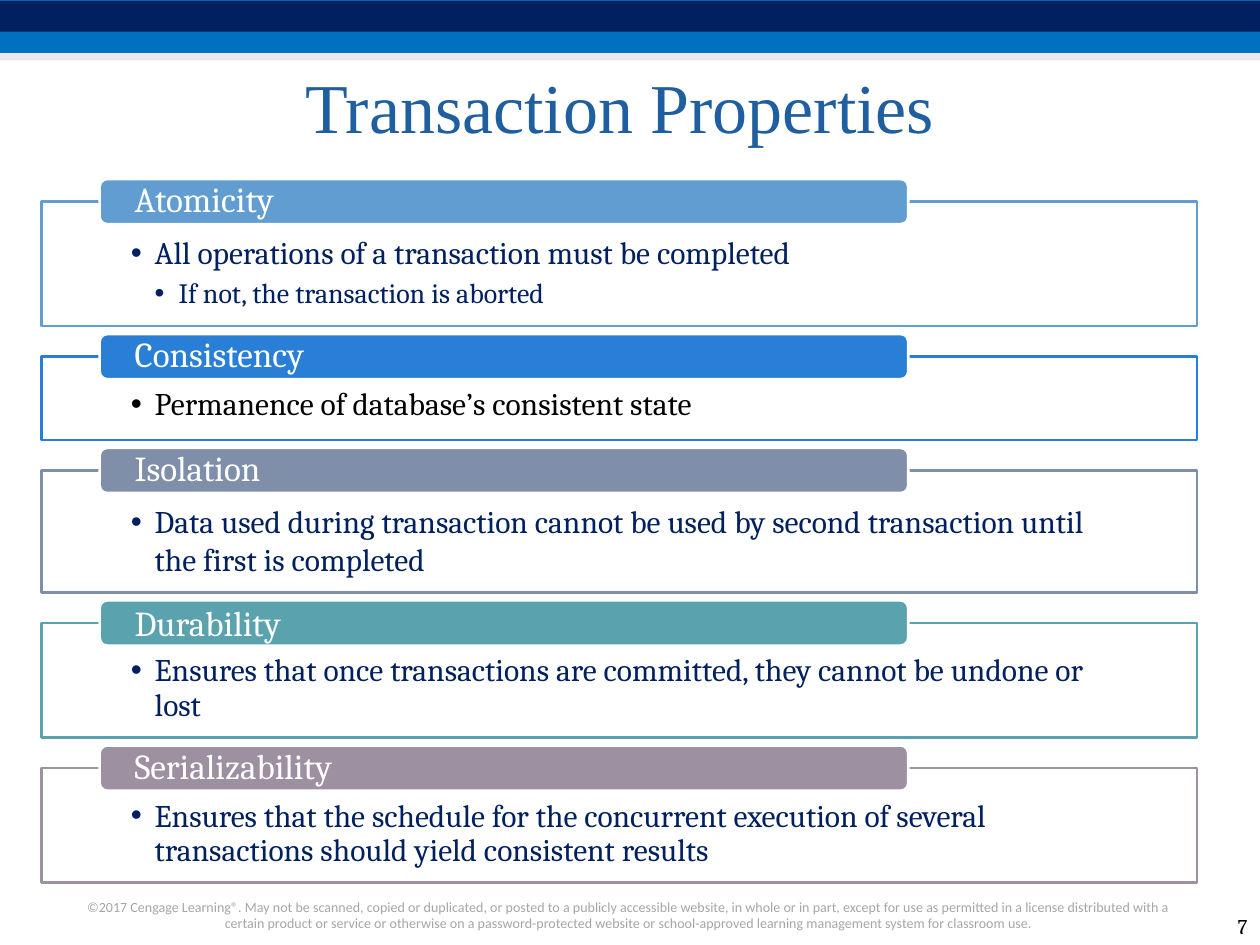
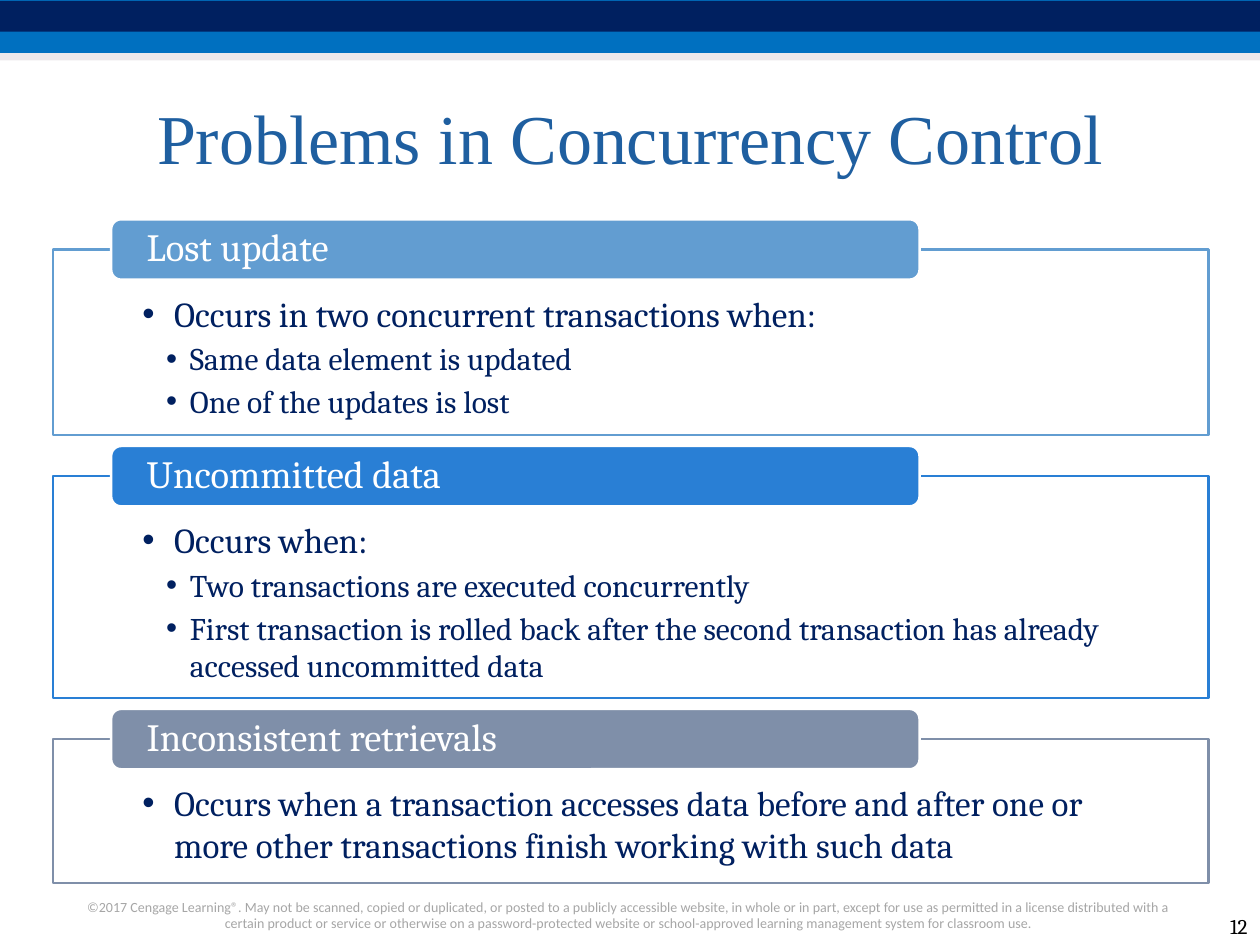
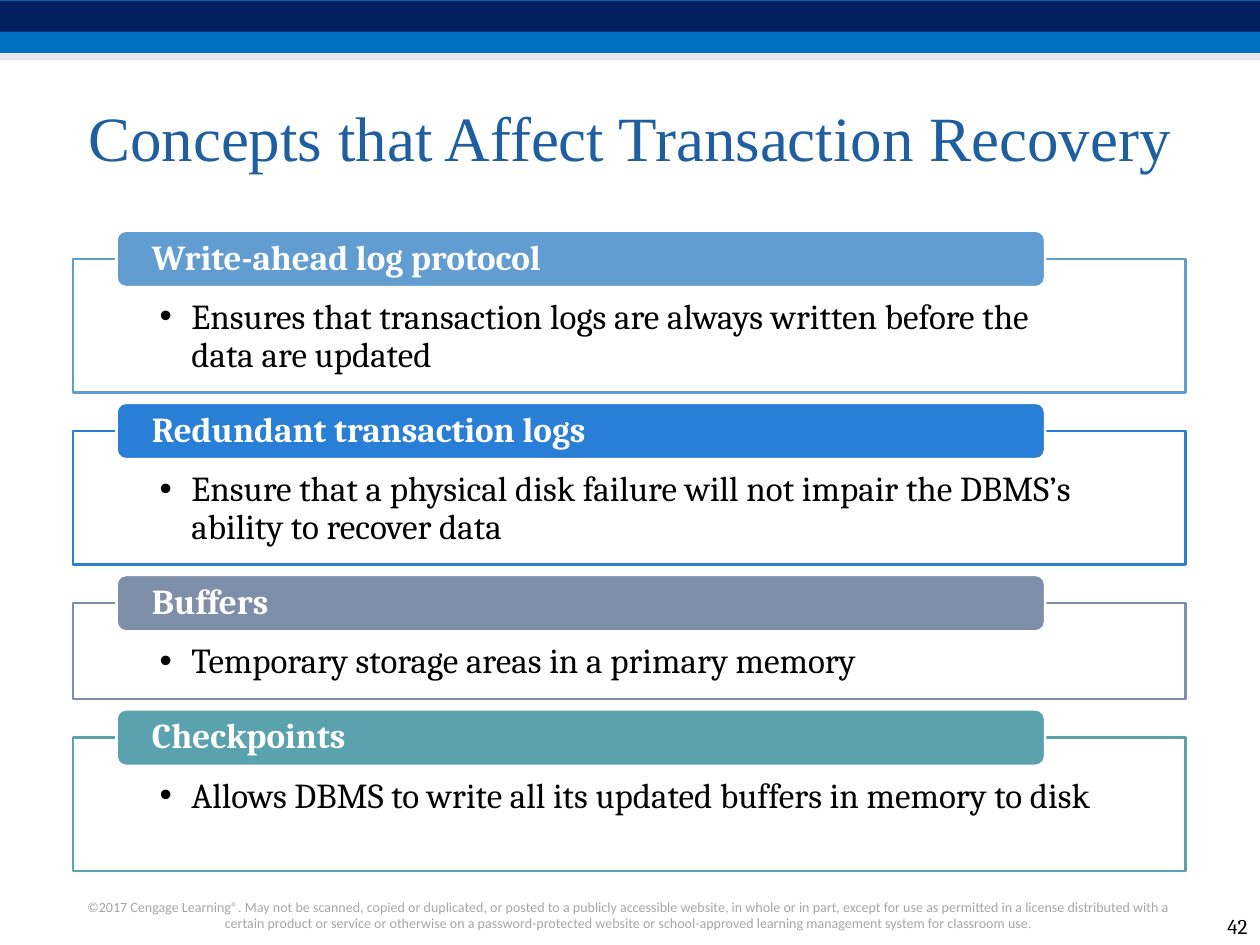
from dataclasses import dataclass, field

import pptx
import pptx.dml.color
import pptx.enum.shapes
import pptx.enum.text
import pptx.oxml
import pptx.oxml.ns
import pptx.util

Cm = pptx.util.Cm
Pt = pptx.util.Pt
Align = pptx.enum.text.PP_ALIGN
Anchor = pptx.enum.text.MSO_ANCHOR
Preset = pptx.enum.shapes.MSO_SHAPE


@dataclass(frozen=True)
class Theme:
    white: str = "FFFFFF"
    black: str = "000000"
    navy: str = "002060"
    blue: str = "0070C0"
    mist: str = "D8D3D9"
    title: str = "1F5FA0"
    notice: str = "A6A6A6"
    accents: tuple = ("629DD1", "297FD5", "7F8FA9", "5AA2AE", "9D90A0")
    title_font: str = "Times New Roman"
    body_font: str = "Cambria"
    notice_font: str = "Calibri"
    notice_size: int = 8
    number_size: int = 12
    outline: float = 1.5
    heading_spacing: float = 0.9
    space_after: float = 0.15


THEME = Theme()

COPYRIGHT = (
    "©2017 Cengage Learning®. May not be scanned, copied or duplicated, or posted to a "
    "publicly accessible website, in whole or in part, except for use as permitted in a "
    "license distributed with a certain product or service or otherwise on a "
    "password-protected website or school-approved learning management system for "
    "classroom use."
)


@dataclass
class Section:
    heading: str
    height: float
    points: list
    color: str = THEME.navy
    spacing: float = 1.0
    heading_spacing: float = THEME.heading_spacing


@dataclass
class Layout:
    left: float
    width: float
    top: float
    tab_indent: float
    tab_width: float
    tab_height: float
    gap: float
    insets: tuple
    heading_size: int
    point_sizes: tuple
    point_indents: tuple
    title_size: int = 40
    title_at: tuple = (1.27, 1.27)
    bold_headings: bool = False


@dataclass
class Topic:
    title: str
    number: str
    layout: Layout
    sections: list = field(default_factory=list)


def apply(target, values):
    for name, value in values.items():
        setattr(target, name, value)


def rgb(color):
    return pptx.dml.color.RGBColor.from_string(color)


def set_opacity(shape, percent):
    solid = shape.fill._xPr.find(pptx.oxml.ns.qn("a:solidFill"))
    alpha = pptx.oxml.parse_xml(
        f'<a:alpha {pptx.oxml.ns.nsdecls("a")} val="{percent * 1000}"/>'
    )
    solid[0].append(alpha)


def add_block(slide, preset, bounds, fill, line=None, opacity=100):
    block = slide.shapes.add_shape(preset, *map(Cm, bounds))
    block.shadow.inherit = False
    block.fill.solid()
    block.fill.fore_color.rgb = rgb(fill)
    if opacity < 100:
        set_opacity(block, opacity)
    if line:
        block.line.color.rgb = rgb(line)
        block.line.width = Pt(THEME.outline)
    else:
        block.line.fill.background()
    return block


def set_frame(frame, anchor, insets=None):
    apply(frame, {
        "word_wrap": True,
        "auto_size": pptx.enum.text.MSO_AUTO_SIZE.NONE,
        "vertical_anchor": anchor,
    })
    if insets:
        sides = ("margin_left", "margin_top", "margin_right", "margin_bottom")
        apply(frame, dict(zip(sides, map(Cm, insets))))


def write(paragraph, text, font, size, color, align=Align.LEFT, bold=False, **spacing):
    apply(paragraph, {"alignment": align, **spacing})
    run = paragraph.add_run()
    run.text = text
    apply(run.font, {"name": font, "size": Pt(size), "bold": bold})
    run.font.color.rgb = rgb(color)


def add_bullet(paragraph, margin, hanging):
    properties = paragraph._p.get_or_add_pPr()
    properties.set("marL", str(Cm(margin)))
    properties.set("indent", str(-Cm(hanging)))
    for tag, attribute, value in (("buFont", "typeface", "Arial"), ("buChar", "char", "•")):
        properties.append(pptx.oxml.parse_xml(
            f'<a:{tag} {pptx.oxml.ns.nsdecls("a")} {attribute}="{value}"/>'
        ))


def add_header_bands(slide):
    for top, height, color, opacity in (
        (0, 1.07, THEME.blue, 100),
        (0.02, 0.62, THEME.navy, 100),
        (1.07, 0.15, THEME.mist, 50),
    ):
        add_block(slide, Preset.RECTANGLE, (0, top, 25.4, height), color, opacity=opacity)


def add_label(slide, bounds, text, anchor, font, size, color, align):
    label = slide.shapes.add_textbox(*map(Cm, bounds))
    set_frame(label.text_frame, anchor)
    write(label.text_frame.paragraphs[0], text, font, size, color, align)


def add_footer(slide, number):
    add_label(slide, (1.47, 17.98, 22.43, 1.07), COPYRIGHT, Anchor.TOP,
              THEME.notice_font, THEME.notice_size, THEME.notice, Align.CENTER)
    add_label(slide, (24.13, 18.21, 1.27, 0.84), number, Anchor.BOTTOM,
              THEME.body_font, THEME.number_size, THEME.black, Align.RIGHT)


def set_title(slide, topic):
    title = slide.shapes.title
    left, top = topic.layout.title_at
    bounds = {"left": left, "top": top, "width": 22.86, "height": 2.97}
    apply(title, {side: Cm(length) for side, length in bounds.items()})
    set_frame(title.text_frame, Anchor.MIDDLE)
    write(title.text_frame.paragraphs[0], topic.title, THEME.title_font,
          topic.layout.title_size, THEME.title, Align.CENTER)


def add_panel(slide, layout, section, top, accent):
    panel = add_block(slide, Preset.RECTANGLE,
                      (layout.left, top, layout.width, section.height),
                      THEME.white, accent, opacity=90)
    frame = panel.text_frame
    set_frame(frame, Anchor.TOP, layout.insets)
    for index, (depth, text) in enumerate(section.points):
        paragraph = frame.add_paragraph() if index else frame.paragraphs[0]
        size = layout.point_sizes[depth]
        add_bullet(paragraph, *layout.point_indents[depth])
        write(paragraph, text, THEME.body_font, size, section.color,
              level=depth + 1, line_spacing=section.spacing,
              space_after=Pt(size * THEME.space_after))


def add_tab(slide, layout, section, top, accent):
    tab = add_block(slide, Preset.ROUNDED_RECTANGLE,
                    (layout.left + layout.tab_indent, top,
                     layout.tab_width, layout.tab_height),
                    accent, THEME.white)
    set_frame(tab.text_frame, Anchor.MIDDLE, (0.66, 0, 0.66, 0))
    write(tab.text_frame.paragraphs[0], section.heading, THEME.body_font,
          layout.heading_size, THEME.white, bold=layout.bold_headings,
          line_spacing=section.heading_spacing)


def add_sections(slide, topic):
    layout = topic.layout
    tab_top = layout.top
    for section, accent in zip(topic.sections, THEME.accents):
        panel_top = tab_top + layout.tab_height / 2
        add_panel(slide, layout, section, panel_top, accent)
        add_tab(slide, layout, section, tab_top, accent)
        tab_top = panel_top + section.height + layout.gap


def add_topic(deck, topic):
    slide = deck.slides.add_slide(deck.slide_layouts[5])
    add_header_bands(slide)
    set_title(slide, topic)
    add_sections(slide, topic)
    add_footer(slide, topic.number)


PROPERTIES = Topic(
    "Transaction Properties", "7",
    Layout(left=0.84, width=23.29, top=3.61, tab_indent=1.17, tab_width=16.3,
           tab_height=0.91, gap=0.16, insets=(1.8, 0.64, 1.8, 0.36),
           heading_size=20, point_sizes=(18, 16),
           point_indents=((0.48, 0.48), (0.96, 0.48)), title_at=(1.07, 0.64)),
    [
        Section("Atomicity", 2.51, [
            (0, "All operations of a transaction must be completed"),
            (1, "If not, the transaction is aborted"),
        ]),
        Section("Consistency", 1.68, [
            (0, "Permanence of database’s consistent state"),
        ], color=THEME.black, spacing=0.9),
        Section("Isolation", 2.46, [
            (0, "Data used during transaction cannot be used by second transaction "
                "until the first is completed"),
        ]),
        Section("Durability", 2.31, [
            (0, "Ensures that once transactions are committed, they cannot be undone "
                "or lost"),
        ], spacing=0.9, heading_spacing=1.0),
        Section("Serializability", 2.31, [
            (0, "Ensures that the schedule for the concurrent execution of several "
                "transactions should yield consistent results"),
        ], spacing=0.9),
    ],
)

PROBLEMS = Topic(
    "Problems in Concurrency Control", "12",
    Layout(left=1.07, width=23.29, top=4.42, tab_indent=1.17, tab_width=16.3,
           tab_height=1.22, gap=0.22, insets=(1.8, 0.86, 1.8, 0.41),
           heading_size=22, point_sizes=(20, 18),
           point_indents=((0.64, 0.64), (0.96, 0.48))),
    [
        Section("Lost update", 3.74, [
            (0, "Occurs in two concurrent transactions when:"),
            (1, "Same data element is updated"),
            (1, "One of the updates is lost"),
        ]),
        Section("Uncommitted data", 4.47, [
            (0, "Occurs when:"),
            (1, "Two transactions are executed concurrently"),
            (1, "First transaction is rolled back after the second transaction has "
                "already accessed uncommitted data"),
        ]),
        Section("Inconsistent retrievals", 2.9, [
            (0, "Occurs when a transaction accesses data before and after one or more "
                "other transactions finish working with such data"),
        ]),
    ],
)

RECOVERY_STYLE = {"color": THEME.black, "spacing": 0.9}

RECOVERY = Topic(
    "Concepts that Affect Transaction Recovery", "42",
    Layout(left=1.47, width=22.43, top=4.65, tab_indent=0.88, tab_width=18.72,
           tab_height=1.14, gap=0.21, insets=(1.75, 0.81, 1.75, 0.41),
           heading_size=20, point_sizes=(20,), point_indents=((0.64, 0.64),),
           title_size=36, bold_headings=True),
    [
        Section("Write-ahead log protocol", 2.69, [
            (0, "Ensures that transaction logs are always written before the data are "
                "updated"),
        ], **RECOVERY_STYLE),
        Section("Redundant transaction logs", 2.69, [
            (0, "Ensure that a physical disk failure will not impair the DBMS’s ability "
                "to recover data"),
        ], **RECOVERY_STYLE),
        Section("Buffers", 1.93, [
            (0, "Temporary storage areas in a primary memory"),
        ], **RECOVERY_STYLE),
        Section("Checkpoints", 2.69, [
            (0, "Allows DBMS to write all its updated buffers in memory to disk"),
        ], **RECOVERY_STYLE),
    ],
)


def main():
    deck = pptx.Presentation()
    apply(deck, {"slide_width": Cm(25.4), "slide_height": Cm(19.05)})
    for topic in (PROPERTIES, PROBLEMS, RECOVERY):
        add_topic(deck, topic)
    deck.save("out.pptx")


if __name__ == "__main__":
    main()
